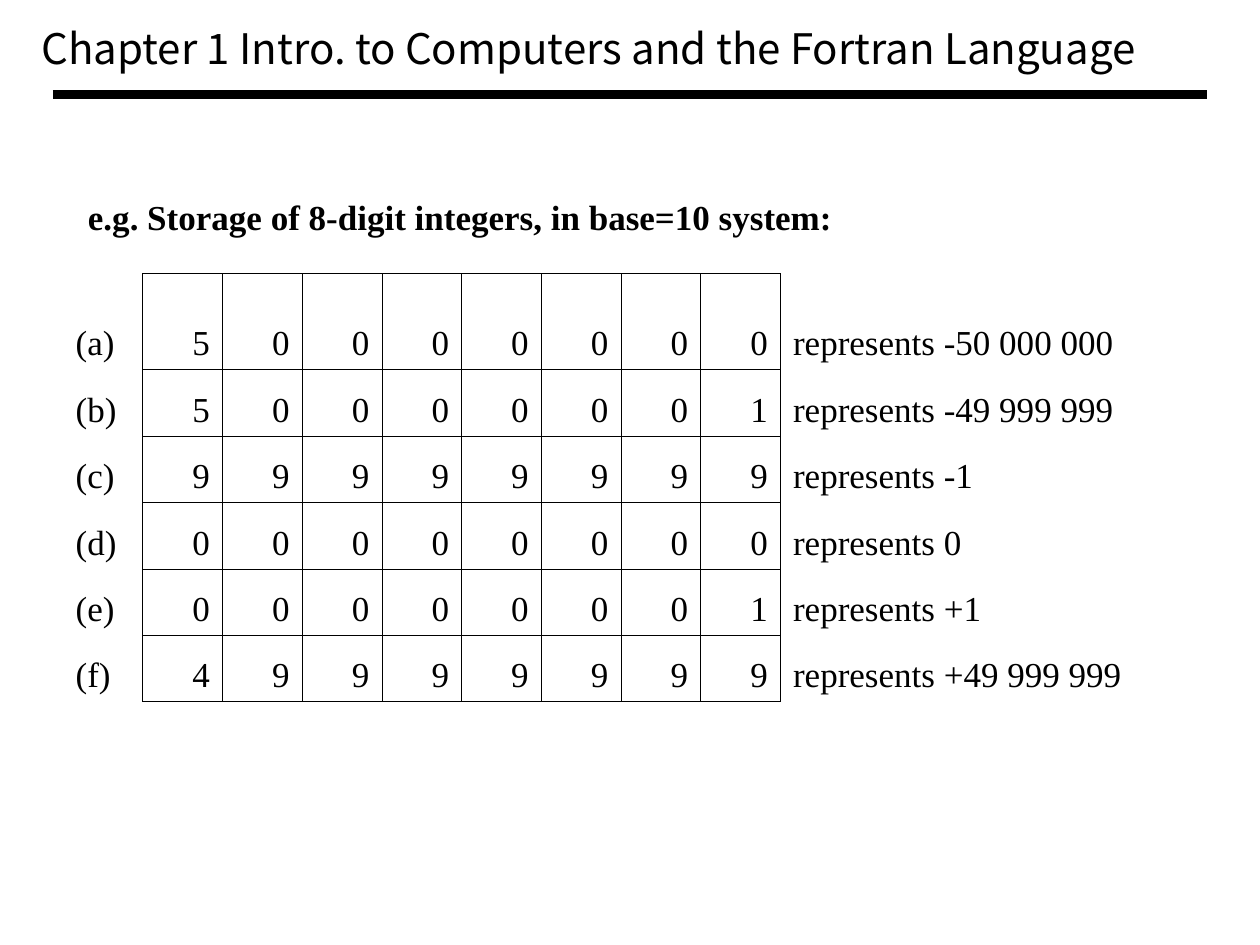
from lxml import etree
from pptx import Presentation
from pptx.dml.color import RGBColor
from pptx.enum.shapes import MSO_CONNECTOR
from pptx.enum.text import MSO_ANCHOR, PP_ALIGN
from pptx.oxml.ns import qn
from pptx.util import Inches, Pt

BLACK = RGBColor(0, 0, 0)
WHITE = RGBColor(255, 255, 255)
TITLE_FONT = "Noto Sans CJK TC"
BODY_FONT = "Times New Roman"
STRAIGHT = MSO_CONNECTOR.STRAIGHT
LEFT, RIGHT = PP_ALIGN.LEFT, PP_ALIGN.RIGHT
TOP, MIDDLE, BOTTOM = MSO_ANCHOR.TOP, MSO_ANCHOR.MIDDLE, MSO_ANCHOR.BOTTOM

DIGIT_COUNT = 8
BORDER_WIDTH = Pt(0.45)
STORED_INTEGERS = [
    ("(a)", "50000000", "represents -50 000 000"),
    ("(b)", "50000001", "represents -49 999 999"),
    ("(c)", "99999999", "represents -1"),
    ("(d)", "00000000", "represents 0"),
    ("(e)", "00000001", "represents +1"),
    ("(f)", "49999999", "represents +49 999 999"),
]


def style_paragraph(para, text, font_name, size, bold=False, align=LEFT):
    para.text = text
    para.alignment = align
    para.font.name = font_name
    para.font.size = Pt(size)
    para.font.bold = bold
    para.font.color.rgb = BLACK


def add_text(page, bounds, text, font_name, size, bold=False, anchor=TOP):
    box = page.shapes.add_textbox(*map(Inches, bounds))
    box.text_frame.word_wrap = True
    box.text_frame.vertical_anchor = anchor
    style_paragraph(box.text_frame.paragraphs[0], text, font_name, size, bold)


def add_header(page, left, top, width, height):
    """Chapter title with a thick rule along the bottom of the header."""
    bottom = top + height
    rule = page.shapes.add_connector(
        STRAIGHT, *map(Inches, (left, bottom, left + width, bottom)))
    rule.line.color.rgb = BLACK
    rule.line.width = Pt(5.5)
    etree.SubElement(rule._element.spPr, qn("a:effectLst"))
    add_text(page, (left - 0.19, top, width - 0.06, 0.5),
             "Chapter 1 Intro. to Computers and the Fortran Language",
             TITLE_FONT, 24)


def set_borders(cell, visible_sides):
    properties = cell._tc.get_or_add_tcPr()
    for side in "LRTB":
        border = etree.SubElement(properties, qn(f"a:ln{side}"), w=str(BORDER_WIDTH))
        if side in visible_sides:
            fill = etree.SubElement(border, qn("a:solidFill"))
            etree.SubElement(fill, qn("a:srgbClr"), val=str(BLACK))
        else:
            etree.SubElement(border, qn("a:noFill"))


def add_storage_table(page, left, top, width, height):
    """Label column, one ruled column per digit, then the meaning."""
    row_count = len(STORED_INTEGERS)
    table = page.shapes.add_table(
        row_count, DIGIT_COUNT + 2, *map(Inches, (left, top, width, height))).table
    table.first_row = table.horz_banding = False

    # The meaning column and the first row take what the even grid leaves
    column_width, row_height = 0.633, 0.527
    for column in table.columns:
        column.width = Inches(column_width)
    table.columns[DIGIT_COUNT + 1].width = Inches(
        width - column_width * (DIGIT_COUNT + 1))
    for row in table.rows:
        row.height = Inches(row_height)
    table.rows[0].height = Inches(height - row_height * (row_count - 1))

    for row_index, (label, digits, meaning) in enumerate(STORED_INTEGERS):
        for column_index, text in enumerate([label, *digits, meaning]):
            cell = table.cell(row_index, column_index)
            if column_index == 0:
                sides, align = "R", LEFT
            elif column_index <= DIGIT_COUNT:
                sides, align = "LRTB", RIGHT
            else:
                sides, align = "L", LEFT
            set_borders(cell, sides)
            cell.fill.background()
            cell.vertical_anchor = BOTTOM
            style_paragraph(cell.text_frame.paragraphs[0], text, BODY_FONT, 20,
                            align=align)


def main():
    deck = Presentation()
    deck.slide_width, deck.slide_height = Inches(10), Inches(7.5)
    page = deck.slides.add_slide(deck.slide_layouts[6])
    page.background.fill.solid()
    page.background.fill.fore_color.rgb = WHITE

    add_header(page, 0.42, 0.13, 9.16, 0.62)
    add_text(page, (0.6, 1.5, 6.2, 0.44),
             "e.g. Storage of 8-digit integers, in base=10 system:",
             BODY_FONT, 20, bold=True, anchor=MIDDLE)
    add_storage_table(page, 0.5, 2.17, 9.06, 3.4)
    deck.save("out.pptx")


if __name__ == "__main__":
    main()
